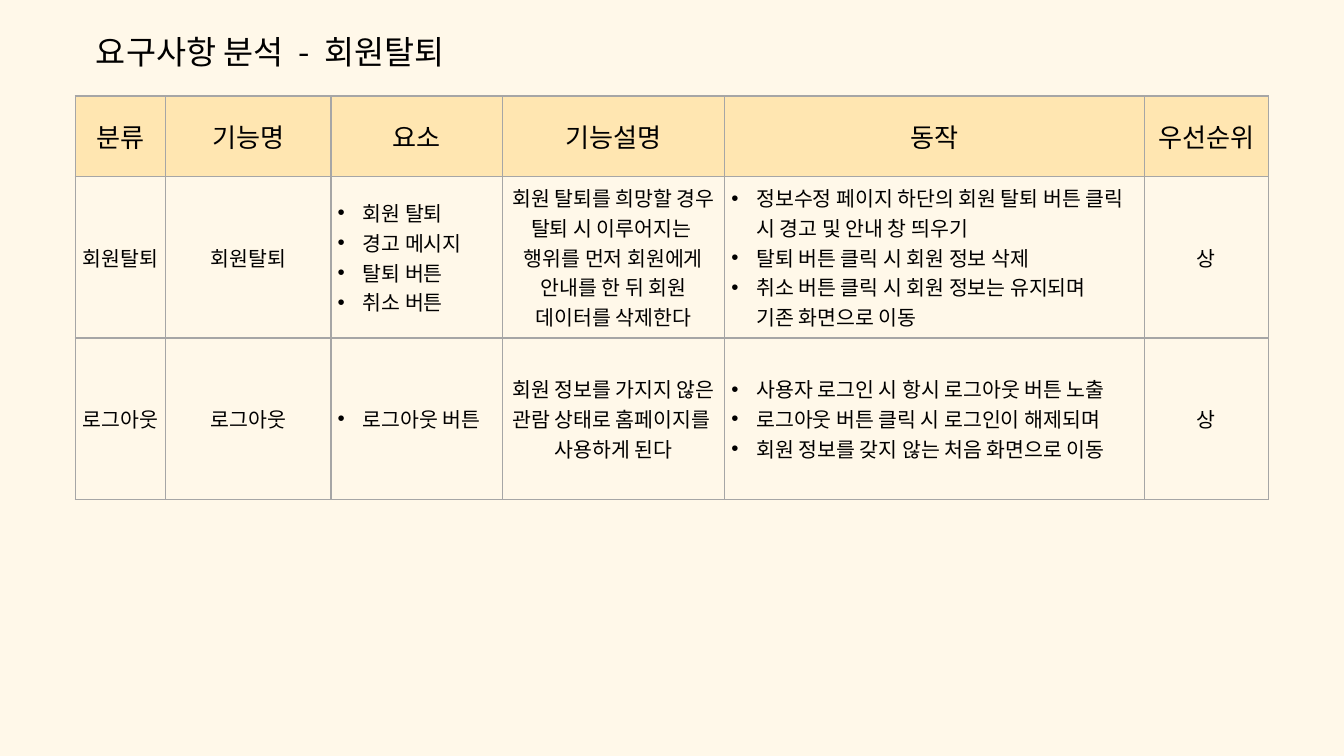
from dataclasses import dataclass

from lxml import etree
from pptx import Presentation
from pptx.dml.color import RGBColor
from pptx.enum.text import MSO_ANCHOR, MSO_AUTO_SIZE, PP_ALIGN
from pptx.oxml.ns import qn
from pptx.util import Cm, Pt

CENTER, LEFT = PP_ALIGN.CENTER, PP_ALIGN.LEFT
MIDDLE = MSO_ANCHOR.MIDDLE
GROW = MSO_AUTO_SIZE.SHAPE_TO_FIT_TEXT


@dataclass(frozen=True)
class Theme:
    """Colours, font and type sizes of the slide."""
    font: str = "Noto Sans CJK KR"
    background: str = "FFF8E9"
    header: str = "FFE6B1"
    border: str = "A6A6A6"
    ink: str = "000000"
    title_size: int = 35
    header_size: int = 28
    body_size: int = 22


THEME = Theme()
TITLE_PARTS = ("요구사항 분석", " ", "-", " ", "회원탈퇴")
COLUMN_WIDTHS = (3.43, 6.25, 6.48, 8.41, 15.88, 4.7)
ROW_HEIGHTS = (3.05, 6.1, 6.1)
BULLETED_COLUMNS = (2, 4)
HEADINGS = ("분류", "기능명", "요소", "기능설명", "동작", "우선순위")
REQUIREMENTS = (
    (
        ["회원탈퇴"],
        ["회원탈퇴"],
        ["회원 탈퇴", "경고 메시지", "탈퇴 버튼", "취소 버튼"],
        ["회원 탈퇴를 희망할 경우",
         "탈퇴 시 이루어지는 \v행위를 먼저 회원에게 안내를 한 뒤 회원 데이터를 삭제한다"],
        ["정보수정 페이지 하단의 회원 탈퇴 버튼 클릭 시 경고 및 안내 창 띄우기",
         "탈퇴 버튼 클릭 시 회원 정보 삭제",
         "취소 버튼 클릭 시 회원 정보는 유지되며 \v기존 화면으로 이동"],
        ["상"],
    ),
    (
        ["로그아웃"],
        ["로그아웃"],
        ["로그아웃 버튼"],
        ["회원 정보를 가지지 않은", "관람 상태로 홈페이지를 ", "사용하게 된다"],
        ["사용자 로그인 시 항시 로그아웃 버튼 노출",
         "로그아웃 버튼 클릭 시 로그인이 해제되며",
         "회원 정보를 갖지 않는 처음 화면으로 이동"],
        ["상"],
    ),
)


def style_runs(paragraph, size):
    """Give every run of a paragraph the theme font, ink and a size."""
    for run in paragraph.runs:
        run.font.size = Pt(size)
        run.font.name = THEME.font
        run.font.color.rgb = RGBColor.from_string(THEME.ink)
        east_asian = etree.SubElement(run.font._element, qn("a:ea"))
        east_asian.set("typeface", THEME.font)


def add_bullet(paragraph):
    """Put a hanging round bullet before a paragraph."""
    properties = paragraph._p.get_or_add_pPr()
    indent = Cm(0.95)
    properties.set("marL", str(indent))
    properties.set("indent", str(-indent))
    etree.SubElement(properties, qn("a:buFont")).set("typeface", "Arial")
    etree.SubElement(properties, qn("a:buChar")).set("char", "•")


def add_borders(cell):
    """Draw the four sides of a cell."""
    properties = cell._tc.get_or_add_tcPr()
    for side in ("a:lnL", "a:lnR", "a:lnT", "a:lnB"):
        line = etree.SubElement(properties, qn(side), w=str(Pt(1.5)))
        fill = etree.SubElement(line, qn("a:solidFill"))
        etree.SubElement(fill, qn("a:srgbClr"), val=THEME.border)


def fill_cell(cell, lines, size, bulleted=False):
    """Write one paragraph per line into a bordered cell."""
    add_borders(cell)
    cell.vertical_anchor = MIDDLE
    frame = cell.text_frame
    for index, line in enumerate(lines):
        paragraph = frame.add_paragraph() if index else frame.paragraphs[0]
        paragraph.text = line
        paragraph.alignment = LEFT if bulleted else CENTER
        if bulleted:
            add_bullet(paragraph)
        style_runs(paragraph, size)


def add_title(slide, left, top, width, height):
    """Place the title, with wide gaps around its dash."""
    title = slide.shapes.add_textbox(left, top, width, height)
    frame = title.text_frame
    frame.margin_left = frame.margin_right = 0
    frame.margin_top = frame.margin_bottom = 0
    frame.word_wrap = True
    frame.auto_size = GROW
    paragraph = frame.paragraphs[0]
    paragraph.alignment = CENTER
    paragraph.line_spacing = Pt(49)
    for part in TITLE_PARTS:
        run = paragraph.add_run()
        run.text = part
        if part == " ":
            run.font._element.set("spc", "780")
    style_runs(paragraph, THEME.title_size)


def add_requirements(slide, left, top, width, height):
    """Place the requirements table, sharing the box among columns and rows."""
    table = slide.shapes.add_table(
        len(ROW_HEIGHTS), len(COLUMN_WIDTHS), left, top, width, height).table
    table.first_row = False
    table.horz_banding = False
    for column, share in zip(table.columns, COLUMN_WIDTHS):
        column.width = int(width * share / sum(COLUMN_WIDTHS))
    for row, share in zip(table.rows, ROW_HEIGHTS):
        row.height = int(height * share / sum(ROW_HEIGHTS))
    for column, heading in enumerate(HEADINGS):
        cell = table.cell(0, column)
        fill_cell(cell, [heading], THEME.header_size)
        cell.fill.solid()
        cell.fill.fore_color.rgb = RGBColor.from_string(THEME.header)
    for row, requirement in enumerate(REQUIREMENTS, start=1):
        for column, lines in enumerate(requirement):
            cell = table.cell(row, column)
            fill_cell(cell, lines, THEME.body_size, column in BULLETED_COLUMNS)
            cell.fill.background()


def main():
    """Build the slide and save it."""
    presentation = Presentation()
    presentation.slide_width = Cm(50.8)
    presentation.slide_height = Cm(28.58)
    slide = presentation.slides.add_slide(presentation.slide_layouts[6])
    background = slide.background.fill
    background.solid()
    background.fore_color.rgb = RGBColor.from_string(THEME.background)
    add_requirements(slide, Cm(2.84), Cm(3.63), Cm(45.11), Cm(15.25))
    add_title(slide, Cm(3.3), Cm(0.97), Cm(13.84), Cm(1.65))
    presentation.save("out.pptx")


if __name__ == "__main__":
    main()
